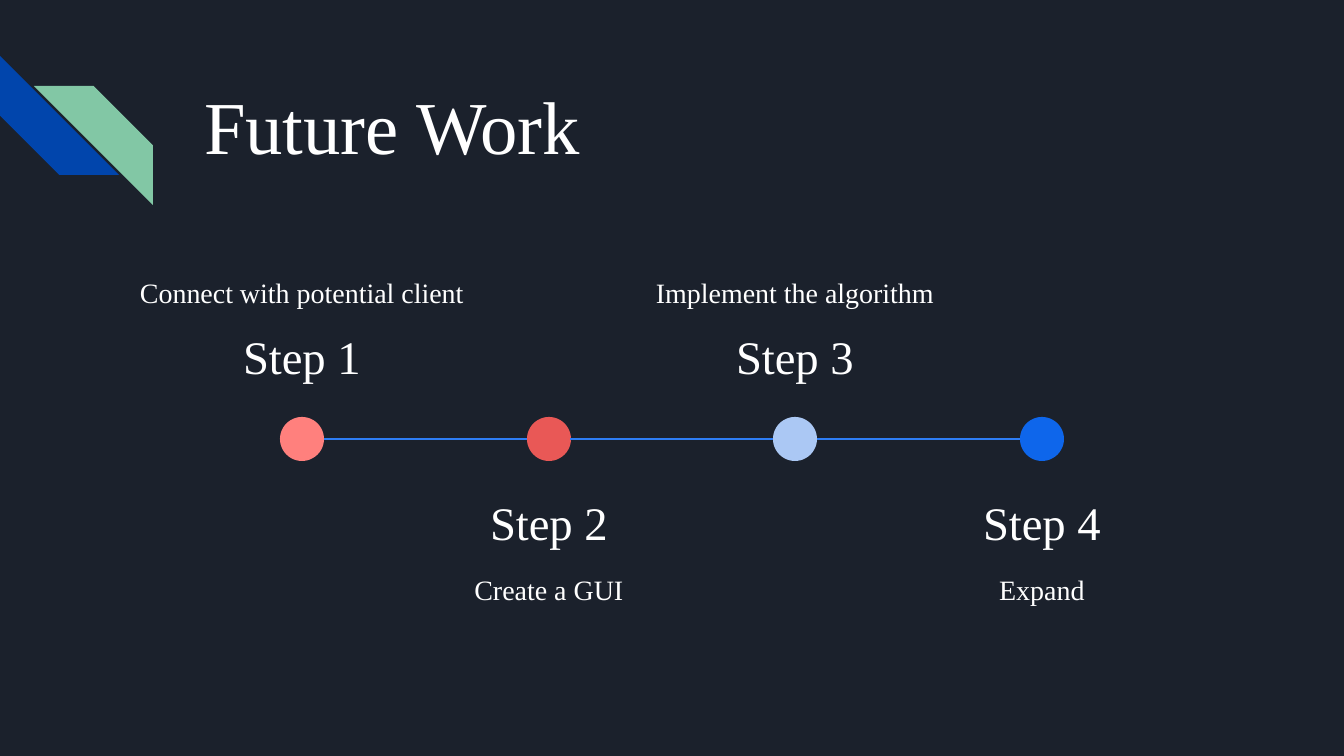
"""Build the Future Work slide: a four-step timeline on a dark background."""
from lxml.etree import SubElement
from pptx import Presentation
from pptx.dml.color import RGBColor
from pptx.enum.shapes import MSO_CONNECTOR, MSO_SHAPE
from pptx.enum.text import MSO_ANCHOR, PP_ALIGN
from pptx.oxml.ns import qn
from pptx.util import Pt

SCALE = 914400 / 134.4
COLORS = {
    "background": "1B212C", "text": "FFFFFF", "line": "2E7DF4",
    "blue stripe": "0145AC", "green stripe": "82C7A5",
    "coral": "FF807D", "red": "E95856", "pale blue": "ABC8F4", "blue": "0E66EB",
}
STEPS = [
    ("Connect with potential client", "coral", 460),
    ("Create a GUI", "red", 314),
    ("Implement the algorithm", "pale blue", 436),
    ("Expand", "blue", 314),
]
FIRST_CENTER, LAST_CENTER, LINE_Y = 302, 1042, 439
DOT_SIZE, LABEL_WIDTH = 44, 314


def add_filled_shape(kind, box, color):
    shape = slide.shapes.add_shape(kind, *[round(value * SCALE) for value in box])
    shape.shadow.inherit = False
    shape.fill.solid()
    shape.fill.fore_color.rgb = RGBColor.from_string(COLORS[color])
    shape.line.fill.background()
    return shape


def add_text(text, box, size, anchor, alignment=PP_ALIGN.CENTER, spacing=1.15):
    shape = slide.shapes.add_textbox(*[round(value * SCALE) for value in box])
    frame = shape.text_frame
    frame.word_wrap = True
    frame.vertical_anchor = anchor
    frame.margin_left = frame.margin_right = Pt(7.2)
    frame.margin_top = frame.margin_bottom = Pt(7.2)
    paragraph = frame.paragraphs[0]
    paragraph.alignment = alignment
    paragraph.line_spacing = spacing
    run = paragraph.add_run()
    run.text = text
    run.font.name = "Times New Roman"
    run.font.size = Pt(size)
    run.font.color.rgb = RGBColor.from_string(COLORS["text"])


presentation = Presentation()
presentation.slide_width = round(1344 * SCALE)
presentation.slide_height = round(756 * SCALE)
slide = presentation.slides.add_slide(presentation.slide_layouts[6])
slide.background.fill.solid()
slide.background.fill.fore_color.rgb = RGBColor.from_string(COLORS["background"])

blue_stripe = add_filled_shape(MSO_SHAPE.DIAGONAL_STRIPE, (0, 56, 119, 119), "blue stripe")
blue_stripe.rotation = 270
green_stripe = add_filled_shape(MSO_SHAPE.DIAGONAL_STRIPE, (34, 86, 119, 119), "green stripe")
green_stripe._element.spPr.find(qn("a:xfrm")).set("flipH", "1")

add_text("Future Work", (191, 58, 1035, 134), 40, MSO_ANCHOR.MIDDLE, PP_ALIGN.LEFT, 1.0)

pitch = (LAST_CENTER - FIRST_CENTER) / (len(STEPS) - 1)
for index, (description, color, width) in enumerate(STEPS):
    center = round(FIRST_CENTER + index * pitch)
    if index % 2 == 0:
        label_top, label_anchor, description_top, height = 306, MSO_ANCHOR.TOP, 257, 52
    else:
        label_top, label_anchor, description_top, height = 496, MSO_ANCHOR.BOTTOM, 554, 85
    label_box = (center - LABEL_WIDTH // 2, label_top, LABEL_WIDTH, 67)
    add_text(f"Step {index + 1}", label_box, 25, label_anchor)
    description_box = (center - width // 2, description_top, width, height)
    add_text(description, description_box, 15, MSO_ANCHOR.TOP)

    radius = DOT_SIZE // 2
    add_filled_shape(MSO_SHAPE.OVAL, (center - radius, LINE_Y - radius, DOT_SIZE, DOT_SIZE), color)
    if index:
        ends = (center - pitch + radius, LINE_Y, center - radius, LINE_Y)
        connector = slide.shapes.add_connector(
            MSO_CONNECTOR.STRAIGHT, *[round(value * SCALE) for value in ends])
        connector.line.color.rgb = RGBColor.from_string(COLORS["line"])
        connector.line.width = Pt(0.75)
        SubElement(connector._element.spPr, qn("a:effectLst"))

presentation.save("out.pptx")
